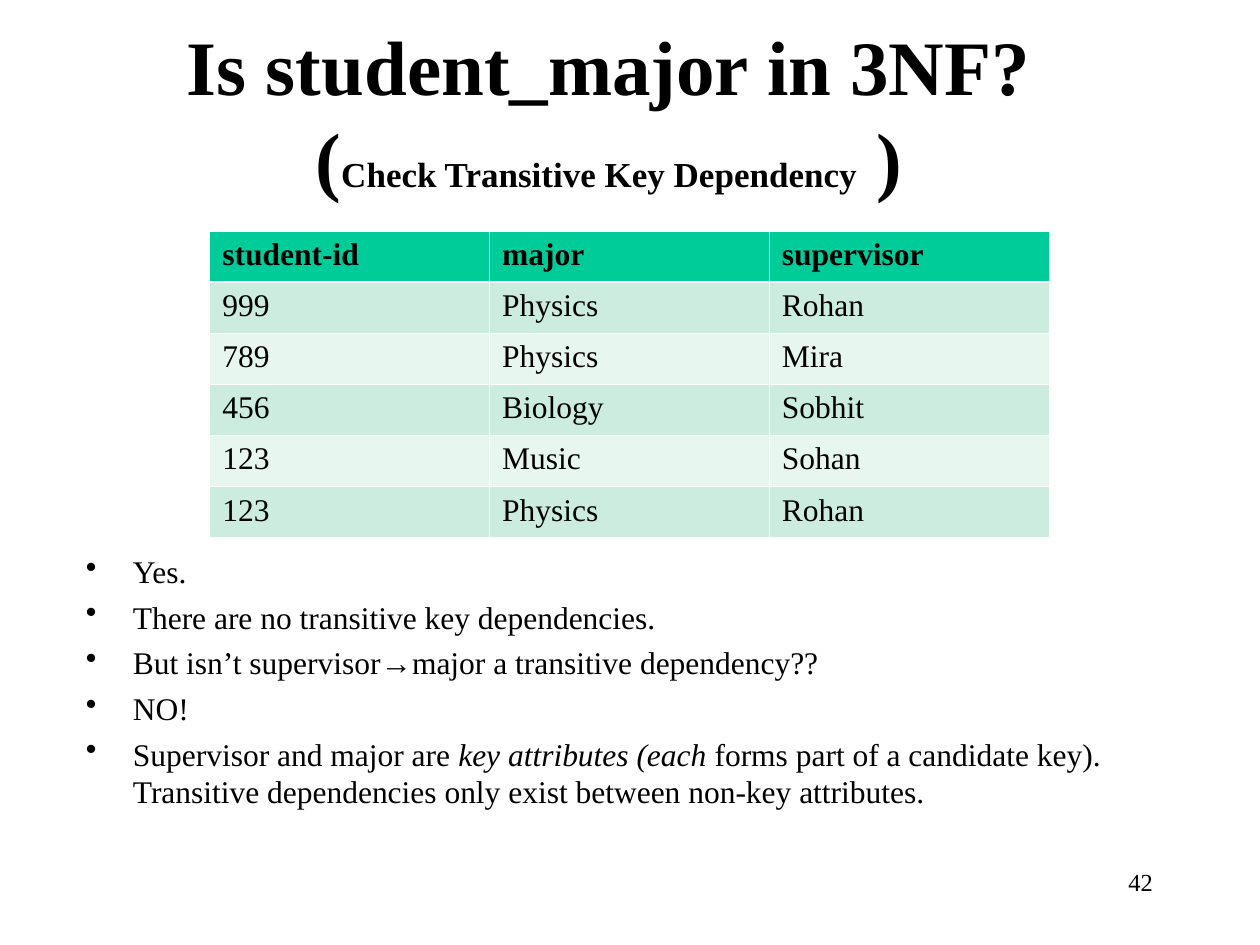
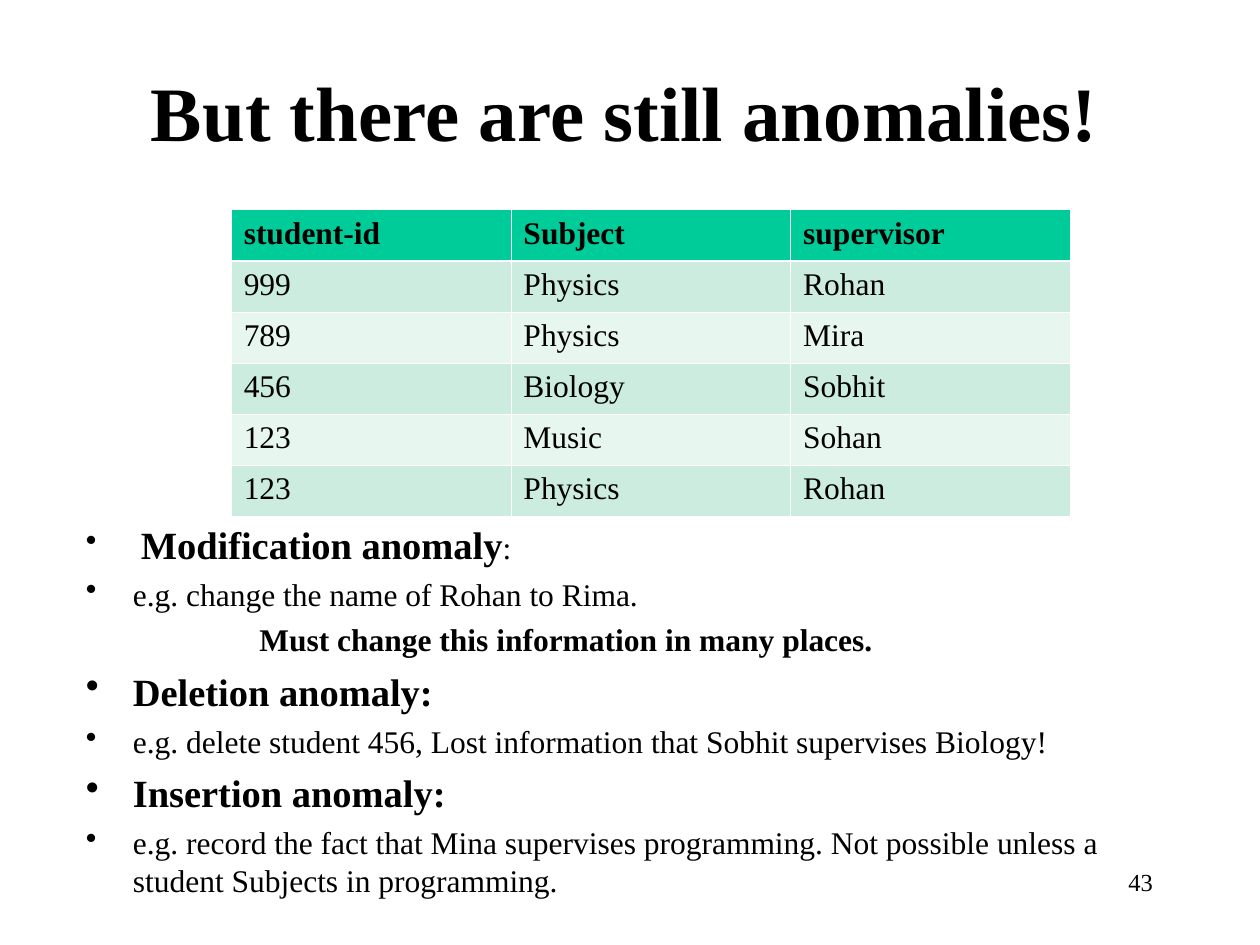
from pptx import Presentation
from pptx import util as u
from pptx.dml import color
from pptx.enum import text
from pptx.oxml import ns
from lxml import etree

Cm, Pt = u.Cm, u.Pt
FONT = "Times New Roman"
COLORS = {"ink": "000000", "head": "00CC99", "band": "CBECDE", "pale": "E7F6EF", "rule": "FFFFFF"}
TITLE, BODY, HEADING, NUMBER = 44, 18, 22, 14
HANG, DEEP = 0.95, 3.5
COL_W, ROW_H = 5.64, 1.03
THIN, THICK = 0.45, 1.47

STUDENTS = [
    ("999", "Physics", "Rohan"),
    ("789", "Physics", "Mira"),
    ("456", "Biology", "Sobhit"),
    ("123", "Music", "Sohan"),
    ("123", "Physics", "Rohan"),
]
B, I = {"bold": True}, {"italic": True}
H = {"bold": True, "size": HEADING}

SLIDES = [
    {
        "title": [("Is student_major in 3NF?\v(", {}), ("Check Transitive Key Dependency", {"size": 20}), (" )", {})],
        "title_at": (1.48, 0.64, 21.59, 3.18),
        "header": ("student-id", "major", "supervisor"),
        "table_at": (4.23, 4.66),
        "body_at": (1.48, 11, 21.59, 5.92),
        "body": [
            [("Yes.", {})],
            [("There are no transitive key dependencies.", {})],
            [("But isn’t supervisor→major a transitive dependency??", {})],
            [("NO!", {})],
            [
                ("Supervisor and major are ", {}),
                ("key attributes (each ", I),
                ("forms part of a candidate key). Transitive dependencies only exist between non-key attributes.", {}),
            ],
        ],
        "unbulleted": (),
        "number": "42",
    },
    {
        "title": [("But there are still anomalies!", {})],
        "title_at": (1.06, 0.64, 23.07, 3.18),
        "header": ("student-id", "Subject", "supervisor"),
        "table_at": (4.66, 4.23),
        "body_at": (1.48, 10.37, 22.65, 8.68),
        "body": [
            [(" ", {}), ("Modification anomaly", H), (":", {})],
            [("e.g. change the name of Rohan to Rima.", {})],
            [("Must change this information in many places.", B)],
            [("Deletion anomaly:", H)],
            [("e.g. delete student 456, Lost information that Sobhit supervises Biology!", {})],
            [("Insertion anomaly:", H)],
            [("e.g. record the fact that Mina supervises programming. "
              "Not possible unless a student Subjects in programming.", {})],
        ],
        "unbulleted": (2,),
        "number": "43",
    },
]


def rgb(name):
    return color.RGBColor.from_string(COLORS[name])


def set_font(font, size, bold=False, italic=False):
    font.name, font.size = FONT, Pt(size)
    font.bold, font.italic = bold, italic
    font.color.rgb = rgb("ink")


def write(p, runs, size, bold=False, align=text.PP_ALIGN.LEFT):
    base = {"size": size, "bold": bold}
    p.alignment = align
    set_font(p.font, **(base | runs[0][1]))
    for words, style in runs:
        for n, line in enumerate(words.split("\v")):
            if n:
                p.add_line_break()
            r = p.add_run()
            r.text = line
            set_font(r.font, **(base | style))


def add_box(s, at, anchor=text.MSO_ANCHOR.TOP):
    tf = s.shapes.add_textbox(*map(Cm, at)).text_frame
    tf.word_wrap = True
    tf.vertical_anchor = anchor
    return tf


def add_bullet(p):
    pPr = p._p.get_or_add_pPr()
    bullet_color = etree.Element(ns.qn("a:buClr"))
    etree.SubElement(bullet_color, ns.qn("a:srgbClr"), val=COLORS["ink"])
    char = etree.Element(ns.qn("a:buChar"), char="•")
    at = list(pPr).index(pPr.find(ns.qn("a:defRPr")))
    pPr[at:at] = [bullet_color, char]


def indent(p, left, first):
    pPr = p._p.get_or_add_pPr()
    pPr.set("marL", str(Cm(left)))
    pPr.set("indent", str(Cm(first)))


def add_body(s, at, paragraphs, unbulleted):
    tf = add_box(s, at)
    for n, runs in enumerate(paragraphs):
        p = tf.add_paragraph() if n else tf.paragraphs[0]
        write(p, runs, BODY)
        p.space_before = Pt(runs[0][1].get("size", BODY) / 4)
        if n in unbulleted:
            indent(p, DEEP, 0)
        else:
            indent(p, HANG, -HANG)
            add_bullet(p)


def add_borders(cell, row):
    widths = {"L": THIN, "R": THIN, "T": THICK if row == 1 else THIN, "B": THICK if row == 0 else THIN}
    tcPr = cell._tc.get_or_add_tcPr()
    for side, width in widths.items():
        ln = etree.SubElement(tcPr, ns.qn("a:ln" + side), w=str(Pt(width)))
        fill = etree.SubElement(ln, ns.qn("a:solidFill"))
        etree.SubElement(fill, ns.qn("a:srgbClr"), val=COLORS["rule"])


def add_students(s, at, header):
    rows = [header, *STUDENTS]
    size = (COL_W * len(header), ROW_H * len(rows))
    table = s.shapes.add_table(len(rows), len(header), *map(Cm, at + size)).table
    table.horz_banding = False
    for i, row in enumerate(rows):
        for j, words in enumerate(row):
            cell = table.cell(i, j)
            write(cell.text_frame.paragraphs[0], [(words, {})], BODY, bold=i == 0)
            add_borders(cell, i)
            cell.fill.solid()
            cell.fill.fore_color.rgb = rgb("head" if i == 0 else "band" if i % 2 else "pale")


def main():
    prs = Presentation()
    prs.slide_width, prs.slide_height = Cm(25.4), Cm(19.05)
    for page in SLIDES:
        s = prs.slides.add_slide(prs.slide_layouts[6])
        title = add_box(s, page["title_at"], text.MSO_ANCHOR.MIDDLE)
        write(title.paragraphs[0], page["title"], TITLE, True, text.PP_ALIGN.CENTER)
        add_body(s, page["body_at"], page["body"], page["unbulleted"])
        number = add_box(s, (18.2, 17.36, 5.29, 1.27))
        write(number.paragraphs[0], [(page["number"], {})], NUMBER, align=text.PP_ALIGN.RIGHT)
        add_students(s, page["table_at"], page["header"])
    prs.save("out.pptx")


if __name__ == "__main__":
    main()
